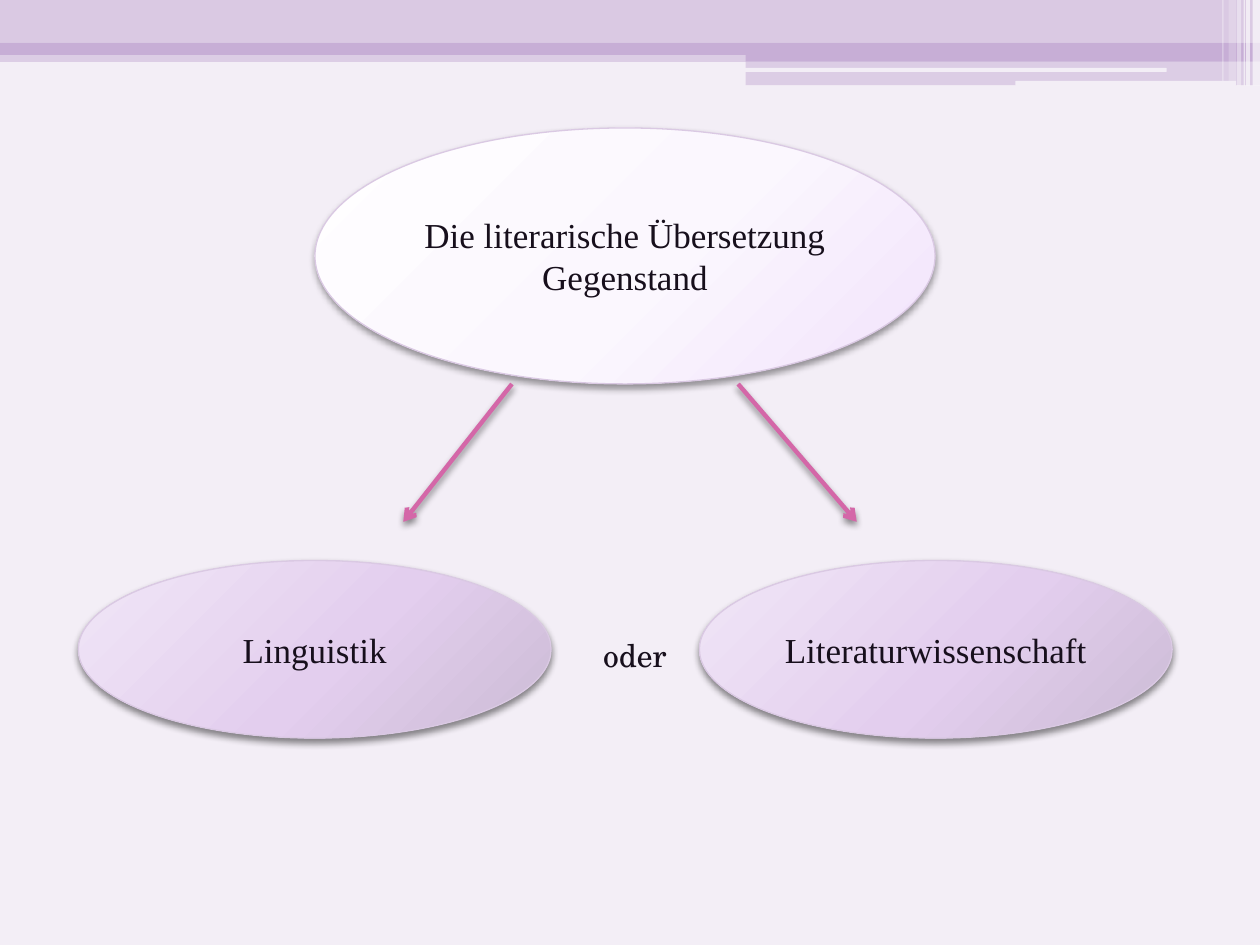
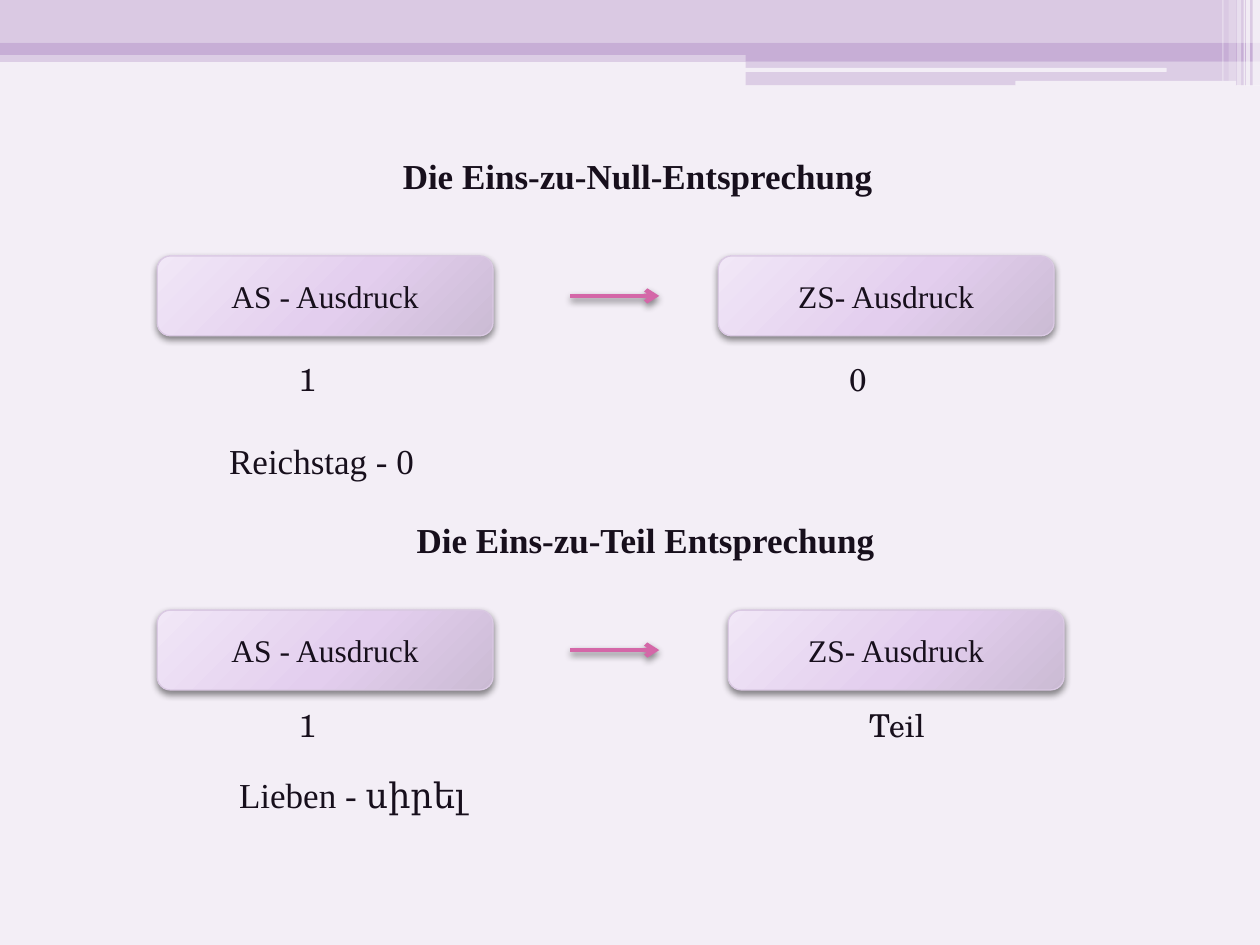
import pptx
import pptx.util
import pptx.dml.color
import pptx.enum.shapes
import pptx.enum.text
import pptx.oxml
import pptx.oxml.ns

Cm = pptx.util.Cm
Pt = pptx.util.Pt
RGBColor = pptx.dml.color.RGBColor
SHAPE = pptx.enum.shapes.MSO_SHAPE
ALIGN = pptx.enum.text.PP_ALIGN
ANCHOR = pptx.enum.text.MSO_ANCHOR
FIT = pptx.enum.text.MSO_AUTO_SIZE
qn = pptx.oxml.ns.qn

# Shared look
PAPER = RGBColor(0xF3, 0xEE, 0xF6)
LILAC = RGBColor(0xDA, 0xC9, 0xE3)
VIOLET = RGBColor(0xC7, 0xAE, 0xD6)
WHITE = RGBColor(0xFF, 0xFF, 0xFF)
INK = RGBColor(0x17, 0x0F, 0x1C)
PINK = RGBColor(0xD4, 0x67, 0xA8)
BLACK = RGBColor(0, 0, 0)
PALE_STOPS = (RGBColor(0xFF, 0xFE, 0xFF), RGBColor(0xFB, 0xF7, 0xFE), RGBColor(0xF1, 0xE1, 0xFB))
MAUVE_STOPS = (RGBColor(0xF1, 0xE7, 0xF7), RGBColor(0xE3, 0xCE, 0xEE), RGBColor(0xCB, 0xBB, 0xD4))
STOP_PLACES = (0, 55, 100)

SERIF = "Times New Roman"
SCHOOL = "TeX Gyre Schola"
BODY = {"name": SERIF, "size": Pt(20), "bold": False}
HEADING = BODY | {"bold": True}
BOX_LABEL = BODY | {"size": Pt(18)}
NOTE = BOX_LABEL | {"name": SCHOOL}

WIDTH, HEIGHT = 25.4, 19.05

# Header: left, top, width, height in cm, colour, opacity in percent
BANDS = [
    (0, 1.02, WIDTH, 0.23, VIOLET, 50),
    (0, 0, WIDTH, 0.86, LILAC, 100),
    (0, 0.86, WIDTH, 0.25, VIOLET, 100),
    (15.03, 0.99, 10.37, 0.25, VIOLET, 100),
    (15.03, 1.24, 10.37, 0.48, VIOLET, 50),
]
SLOTS = [
    (15.01, 1.37, 8.51, 0.08, PAPER, 100),
    (20.47, 1.63, 4.45, 0.1, PAPER, 100),
]
# Stripes at the right end: left, width, height, opacity
STRIPES = [
    (25.25, 0.15, 1.73, 65),
    (25.12, 0.08, 1.73, 65),
    (25.07, 0.03, 1.73, 60),
    (24.94, 0.08, 1.73, 40),
    (24.77, 0.15, 1.63, 20),
    (24.64, 0.03, 1.63, 30),
]

# Slide 1
SUBJECT = ["Die literarische Übersetzung", "Gegenstand"]
SUBJECT_PLACE = (6.35, 2.58, 12.5, 5.16)
FIELDS = [("Linguistik", 1.58), ("Literaturwissenschaft", 14.1)]
FIELD_TOP, FIELD_WIDTH, FIELD_HEIGHT = 11.3, 9.53, 3.58
BRANCHES = [(10.32, 7.74, 8.13, 10.52), (14.88, 7.74, 17.27, 10.52)]
CHOICE = ("oder", 11.91, 12.7, 1.98)

# Slide 2: per section, the tops and the places that differ
SOURCE, TARGET = "AS - Ausdruck", "ZS- Ausdruck"
SECTIONS = [
    {"title": "Die Eins-zu-Null-Entsprechung", "title_place": (6.55, 2.97, 11.91),
     "indent": 1.32, "box_top": 5.16, "target_left": 14.48,
     "notes": [("1", 5.77, 1.6), ("0", 16.87, 1.98)], "note_top": 7.14,
     "example": ("Reichstag - 0", 4.37, 8.74, 7.54)},
    {"title": "Die Eins-zu-Teil Entsprechung", "title_place": (7.54, 10.31, 11.51),
     "indent": 0.61, "box_top": 12.3, "target_left": 14.68,
     "notes": [("1", 5.77, 2.18), ("Teil", 17.27, 2.39)], "note_top": 14.1,
     "example": ("Lieben - սիրել", 4.57, 15.47, 7.14)},
]
SOURCE_LEFT, BOX_WIDTH, BOX_HEIGHT = 3.17, 6.77, 1.61
ARROW_LEFT, ARROW_RIGHT = 11.5, 13.29


def element(body):
    """Make one drawing element from its XML."""
    head, sep, tail = body.partition(">")
    if head.endswith("/"):
        head, sep = head[:-1], "/>"
    space = ' xmlns:a="http://schemas.openxmlformats.org/drawingml/2006/main"'
    return pptx.oxml.parse_xml(head + space + sep + tail)


def shadow_effect(opacity=45, blur=4):
    """Return a soft shadow that falls straight down."""
    return element(
        f'<a:effectLst><a:outerShdw blurRad="{Pt(blur)}" dist="{Pt(2)}" dir="5400000" '
        f'rotWithShape="0"><a:srgbClr val="{BLACK}"><a:alpha val="{opacity * 1000}"/>'
        '</a:srgbClr></a:outerShdw></a:effectLst>')


def write(shape, lines, style, align=ALIGN.LEFT, anchor=ANCHOR.TOP, indent=0):
    """Write lines of text into a shape in one style."""
    frame = shape.text_frame
    frame.word_wrap = True
    frame.vertical_anchor = anchor
    for number, line in enumerate(lines):
        para = frame.add_paragraph() if number else frame.paragraphs[0]
        para.alignment = align
        if indent:
            para._p.get_or_add_pPr().set("indent", str(Cm(indent)))
        span = para.add_run()
        span.text = line
        for key, value in style.items():
            setattr(span.font, key, value)
        span.font.color.rgb = INK


def add_flat(page, kind, left, top, width, height, color, opacity):
    """Add a plain shape without outline, see-through if asked."""
    shape = page.shapes.add_shape(kind, Cm(left), Cm(top), Cm(width), Cm(height))
    shape.shadow.inherit = False
    shape.fill.solid()
    shape.fill.fore_color.rgb = color
    shape.line.fill.background()
    if opacity < 100:
        tint = shape._element.spPr.find(qn("a:solidFill"))[0]
        tint.append(element(f'<a:alpha val="{opacity * 1000}"/>'))


def add_glossy(page, kind, place, lines, style, stops=MAUVE_STOPS, **shadow):
    """Add a gradient shape with a shadow and centred text."""
    shape = page.shapes.add_shape(kind, *map(Cm, place))
    shape.fill.background()
    properties = shape._element.spPr
    marks = "".join(f'<a:gs pos="{at * 1000}"><a:srgbClr val="{color}"/></a:gs>'
                    for at, color in zip(STOP_PLACES, stops))
    gradient = element(
        f'<a:gradFill rotWithShape="1"><a:gsLst>{marks}</a:gsLst><a:path path="circle">'
        '<a:fillToRect l="-40000" t="-90000" r="140000" b="190000"/></a:path></a:gradFill>')
    properties.replace(properties.find(qn("a:noFill")), gradient)
    shape.line.color.rgb = LILAC
    shape.line.width = Pt(0.75)
    properties.append(shadow_effect(**shadow))
    write(shape, lines, style, ALIGN.CENTER, ANCHOR.MIDDLE)


def add_arrow(page, *ends):
    """Add a pink arrow between two points."""
    arrow = page.shapes.add_connector(
        pptx.enum.shapes.MSO_CONNECTOR.STRAIGHT, *map(Cm, ends))
    arrow.line.color.rgb = PINK
    arrow.line.width = Pt(2.5)
    arrow.line._get_or_add_ln().append(element('<a:tailEnd type="arrow"/>'))
    arrow._element.spPr.append(shadow_effect())


def add_text(page, text, left, top, width, style, **layout):
    """Add a text box as high as its one line."""
    height = 1.12 if style["size"] == Pt(20) else 1.02
    box = page.shapes.add_textbox(Cm(left), Cm(top), Cm(width), Cm(height))
    write(box, [text], style, **layout)
    box.text_frame.auto_size = FIT.SHAPE_TO_FIT_TEXT


def add_page(deck):
    """Add a blank slide with the shared background and header."""
    page = deck.slides.add_slide(deck.slide_layouts[6])
    page.background.fill.solid()
    page.background.fill.fore_color.rgb = PAPER
    for band in BANDS:
        add_flat(page, SHAPE.RECTANGLE, *band)
    for slot in SLOTS:
        add_flat(page, SHAPE.ROUNDED_RECTANGLE, *slot)
    for left, width, height, opacity in STRIPES:
        add_flat(page, SHAPE.RECTANGLE, left, 0, width, height, WHITE, opacity)
    return page


def build_subject(deck):
    """Build the slide on the two fields of literary translation."""
    page = add_page(deck)
    add_glossy(page, SHAPE.OVAL, SUBJECT_PLACE, SUBJECT, BODY, PALE_STOPS,
               opacity=40, blur=4.1)
    for branch in BRANCHES:
        add_arrow(page, *branch)
    for name, left in FIELDS:
        add_glossy(page, SHAPE.OVAL, (left, FIELD_TOP, FIELD_WIDTH, FIELD_HEIGHT), [name], BODY)
    add_text(page, *CHOICE, NOTE)


def build_equivalence(deck):
    """Build the slide on the kinds of equivalence."""
    page = add_page(deck)
    for section in SECTIONS:
        add_text(page, section["title"], *section["title_place"], HEADING,
                 align=ALIGN.JUSTIFY, anchor=ANCHOR.MIDDLE, indent=section["indent"])
        top = section["box_top"]
        for label, left in ((SOURCE, SOURCE_LEFT), (TARGET, section["target_left"])):
            add_glossy(page, SHAPE.ROUNDED_RECTANGLE, (left, top, BOX_WIDTH, BOX_HEIGHT),
                       [label], BOX_LABEL)
        middle = top + BOX_HEIGHT / 2
        add_arrow(page, ARROW_LEFT, middle, ARROW_RIGHT, middle)
        for text, left, width in section["notes"]:
            add_text(page, text, left, section["note_top"], width, NOTE)
        add_text(page, *section["example"], BODY)


deck = pptx.Presentation()
deck.slide_width, deck.slide_height = Cm(WIDTH), Cm(HEIGHT)
build_subject(deck)
build_equivalence(deck)
deck.save("out.pptx")
